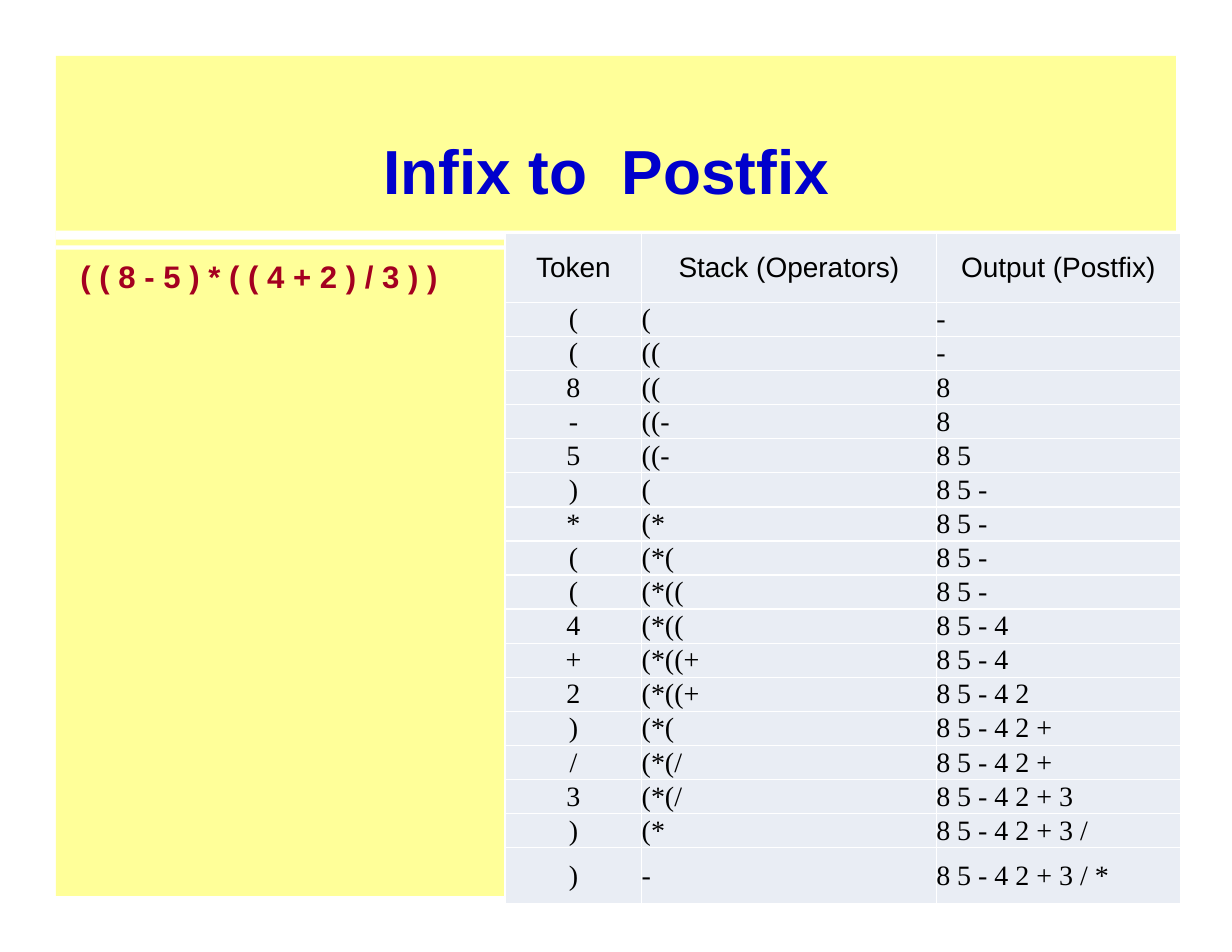
from lxml.etree import SubElement
from pptx import Presentation
from pptx.dml.color import RGBColor
from pptx.enum.shapes import MSO_SHAPE
from pptx.enum.text import MSO_ANCHOR, PP_ALIGN
from pptx.oxml.ns import qn
from pptx.util import Inches, Pt

WHITE = RGBColor(0xFF, 0xFF, 0xFF)
BLACK = RGBColor(0x00, 0x00, 0x00)
YELLOW = RGBColor(0xFF, 0xFF, 0x99)
BLUE = RGBColor(0x00, 0x00, 0xCC)
RED = RGBColor(0xA4, 0x00, 0x20)
CELL_GREY = RGBColor(0xE9, 0xED, 0xF4)

COLUMN_WIDTHS = [1.22, 2.63, 2.18]
TABLE_HEIGHT = 5.99
HEADER_HEIGHT = 0.62
LAST_HEIGHT = 0.5

HEADER = ("Token", "Stack (Operators)", "Output (Postfix)")
STEPS = [
    ("(", "(", "-"),
    ("(", "((", "-"),
    ("8", "((", "8"),
    ("-", "((-", "8"),
    ("5", "((-", "8 5"),
    (")", "(", "8 5 -"),
    ("*", "(*", "8 5 -"),
    ("(", "(*(", "8 5 -"),
    ("(", "(*((", "8 5 -"),
    ("4", "(*((", "8 5 - 4"),
    ("+", "(*((+", "8 5 - 4"),
    ("2", "(*((+", "8 5 - 4 2"),
    (")", "(*(", "8 5 - 4 2 +"),
    ("/", "(*(/", "8 5 - 4 2 +"),
    ("3", "(*(/", "8 5 - 4 2 + 3"),
    (")", "(*", "8 5 - 4 2 + 3 /"),
    (")", "-", "8 5 - 4 2 + 3 / *"),
]


def add_band(slide, top, height, color):
    band = slide.shapes.add_shape(
        MSO_SHAPE.RECTANGLE, Inches(0.5), Inches(top), Inches(10), Inches(height))
    band.shadow.inherit = False
    band.fill.solid()
    band.fill.fore_color.rgb = color
    band.line.fill.background()


def format_text(paragraph, font_name, size, color, bold=False):
    for run in paragraph.runs:
        run.font.name = font_name
        run.font.size = Pt(size)
        run.font.color.rgb = color
        run.font.bold = bold


def set_margins(target, horizontal, vertical):
    target.margin_left = target.margin_right = Inches(horizontal)
    target.margin_top = target.margin_bottom = Inches(vertical)


def add_text(slide, text, left, top, width, height, size, color, margins):
    frame = slide.shapes.add_textbox(
        Inches(left), Inches(top), Inches(width), Inches(height)).text_frame
    frame.word_wrap = True
    set_margins(frame, *margins)
    frame.text = text
    paragraph = frame.paragraphs[0]
    format_text(paragraph, "Arial", size, color, bold=True)
    return paragraph


def add_borders(cell):
    properties = cell._tc.get_or_add_tcPr()
    for position, side in enumerate(("a:lnL", "a:lnR", "a:lnT", "a:lnB")):
        border = SubElement(properties, qn(side), w=str(Pt(1)))
        fill = SubElement(border, qn("a:solidFill"))
        SubElement(fill, qn("a:srgbClr"), val=str(WHITE))
        properties.insert(position, border)


def fill_cell(cell, text, font_name, centered):
    cell.fill.solid()
    cell.fill.fore_color.rgb = CELL_GREY
    cell.vertical_anchor = MSO_ANCHOR.MIDDLE
    set_margins(cell, 0, 0)
    cell.text_frame.text = text
    paragraph = cell.text_frame.paragraphs[0]
    paragraph.alignment = PP_ALIGN.CENTER if centered else PP_ALIGN.LEFT
    format_text(paragraph, font_name, 18, BLACK)
    add_borders(cell)


def add_conversion_table(slide):
    rows = [HEADER] + STEPS
    table = slide.shapes.add_table(
        len(rows), len(HEADER), Inches(4.51), Inches(2.08),
        Inches(sum(COLUMN_WIDTHS)), Inches(TABLE_HEIGHT)).table
    table.horz_banding = False
    for column, width in zip(table.columns, COLUMN_WIDTHS):
        column.width = Inches(width)

    middle_count = len(STEPS) - 1
    step_height = (TABLE_HEIGHT - HEADER_HEIGHT - LAST_HEIGHT) / middle_count
    heights = [HEADER_HEIGHT] + [step_height] * middle_count + [LAST_HEIGHT]
    for row, height in zip(table.rows, heights):
        row.height = Inches(height)

    for row_index, values in enumerate(rows):
        is_header = row_index == 0
        font_name = "Arial" if is_header else "Times New Roman"
        for column_index, value in enumerate(values):
            fill_cell(table.cell(row_index, column_index), value, font_name,
                      centered=is_header or column_index == 0)


def main():
    presentation = Presentation()
    presentation.slide_width = Inches(11)
    presentation.slide_height = Inches(8.5)
    slide = presentation.slides.add_slide(presentation.slide_layouts[6])

    add_band(slide, 0.5, 7.5, YELLOW)
    add_band(slide, 2.06, 0.08, WHITE)
    add_band(slide, 2.19, 0.04, WHITE)

    title = add_text(slide, "Infix to  Postfix", 1.08, 1.17, 8.67, 0.69,
                     40, BLUE, (0, 0.01))
    title.alignment = PP_ALIGN.CENTER
    expression = add_text(slide, "( ( 8 - 5 ) * ( ( 4 + 2 ) / 3 ) )",
                          0.62, 2.11, 3.75, 1.26, 20, RED, (0.1, 0.05))
    expression.line_spacing = 1.42

    add_conversion_table(slide)
    presentation.save("out.pptx")


if __name__ == "__main__":
    main()
